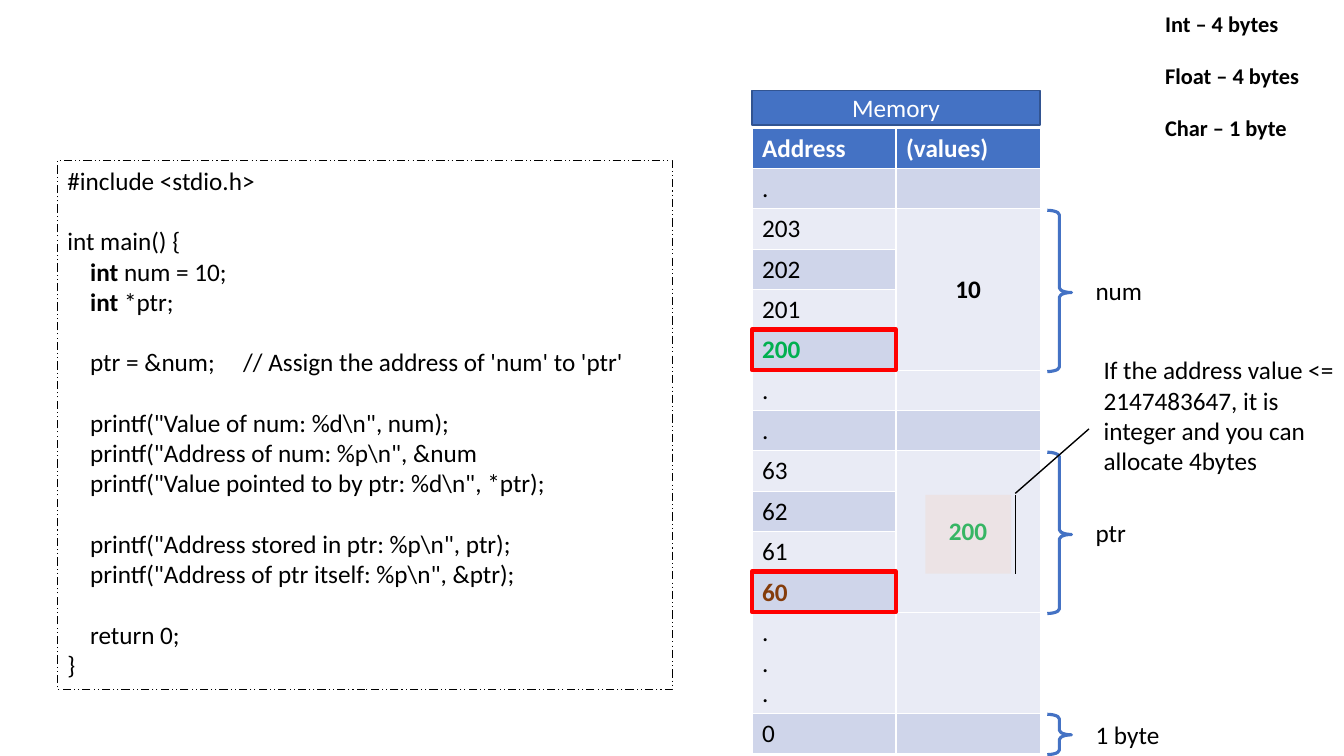
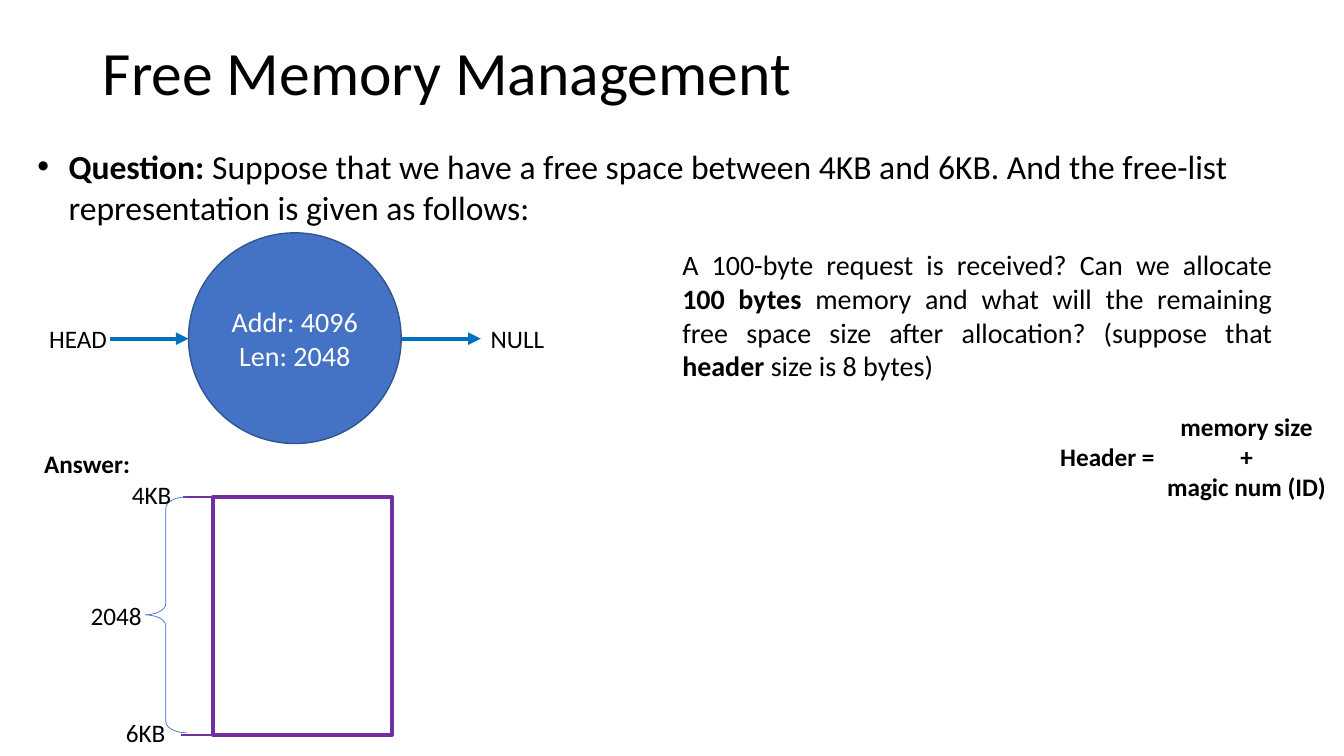
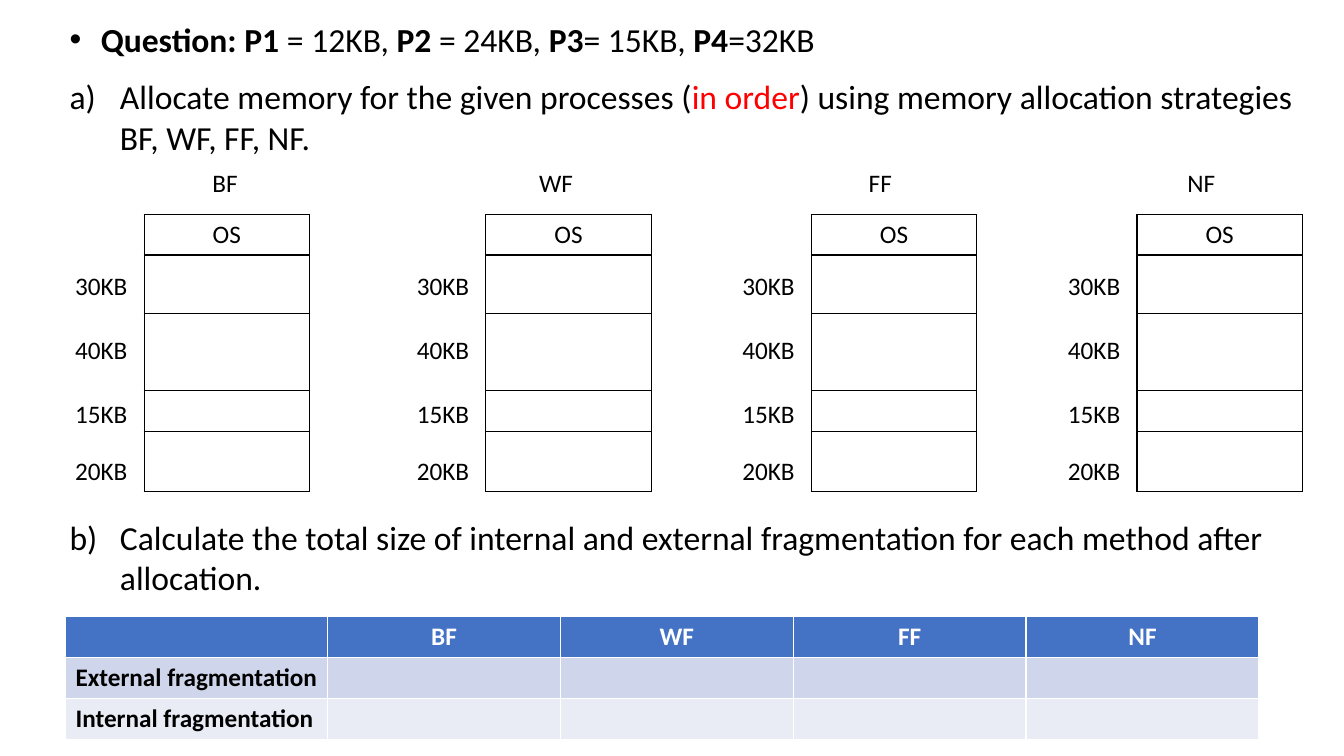
from lxml.etree import SubElement
from pptx import Presentation
from pptx.dml.color import RGBColor
from pptx.enum.dml import MSO_LINE
from pptx.enum.shapes import MSO_CONNECTOR, MSO_SHAPE
from pptx.enum.text import MSO_ANCHOR, MSO_AUTO_SIZE, PP_ALIGN
from pptx.oxml.ns import qn
from pptx.util import Inches, Pt

# The slide is a grid of 80 columns and 45 rows of square cells.
CELL = Inches(7.5) // 45
BLACK, WHITE, RED = "000000", "FFFFFF", "FF0000"
BLUE, DARK_BLUE, ARROW_BLUE = "4472C4", "325491", "0070C0"
PURPLE, GREEN, BROWN, PEACH = "7030A0", "00B050", "843C0B", "F8CBAD"
BANDS = ("E9EBF5", "CFD5EA")
FONT = "Calibri"

deck = Presentation()
deck.slide_width, deck.slide_height = 80 * CELL, 45 * CELL
color = RGBColor.from_string


def write(frame, text, size=18, ink=BLACK, bold=False, align=PP_ALIGN.LEFT):
    """Fill a frame line by line; ** toggles bold, an empty line becomes space before."""
    frame.word_wrap = True
    gap = 0
    paragraph = None
    for line in text.split("\n"):
        if not line:
            gap += 1.2 * size
            continue
        paragraph = frame.add_paragraph() if paragraph else frame.paragraphs[0]
        paragraph.alignment = align
        paragraph.space_before, gap = Pt(gap), 0
        for index, part in enumerate(line.split("**")):
            if part:
                run = paragraph.add_run()
                run.text = part
                run.font.name, run.font.size = FONT, Pt(size)
                run.font.bold = bold or index % 2 == 1
                run.font.color.rgb = color(ink)


def place(slide, kind, x, y, w, h, fill=None, line=None, width=1):
    """Add a preset shape, or a text box if kind is None, at grid cells."""
    area = [int(length * CELL) for length in (x, y, w, h)]
    if kind is None:
        shape = slide.shapes.add_textbox(*area)
    else:
        shape = slide.shapes.add_shape(kind, *area)
    shape.shadow.inherit = False
    if fill:
        shape.fill.solid()
        shape.fill.fore_color.rgb = color(fill)
    else:
        shape.fill.background()
    if line:
        shape.line.color.rgb = color(line)
        shape.line.width = Pt(width)
    else:
        shape.line.fill.background()
    return shape


# Slide 1: a pointer in memory
CODE = r"""#include <stdio.h>

int main() {
    **int** num = 10;
    **int** *ptr;

    ptr = &num;     // Assign the address of 'num' to 'ptr'

    printf("Value of num: %d\n", num);
    printf("Address of num: %p\n", &num
    printf("Value pointed to by ptr: %d\n", *ptr);

    printf("Address stored in ptr: %p\n", ptr);
    printf("Address of ptr itself: %p\n", &ptr);

    return 0;
}"""
pointers = deck.slides.add_slide(deck.slide_layouts[6])
listing = place(pointers, None, 3.42, 9.54, 36.6, 31.5, line=BLACK, width=0.75)
listing.line.dash_style = MSO_LINE.DASH_DOT_DOT
write(listing.text_frame, CODE)

type_sizes = place(pointers, None, 68.76, 0.3, 9.9, 8.7).text_frame
write(type_sizes, "Int – 4 bytes\nFloat – 4 bytes\nChar – 1 byte", 16, bold=True)
for paragraph in type_sizes.paragraphs[1:]:
    paragraph.space_before = Pt(18)

MEMORY_LEFT, MEMORY_TOP, MEMORY_WIDTH, ROW = 44.76, 7.62, 17.16, 2.4
addresses = ["Address", ".", "203", "202", "201", "200", ".", ".",
             "63", "62", "61", "60", ".\n.\n.", "0"]
address_inks = {"Address": WHITE, "200": GREEN, "60": BROWN}
memory = pointers.shapes.add_table(
    len(addresses), 2, int(MEMORY_LEFT * CELL), int(MEMORY_TOP * CELL),
    int(MEMORY_WIDTH * CELL), int(ROW * len(addresses) * CELL)).table
for row, address in enumerate(addresses):
    memory.rows[row].height = int(ROW * CELL * (1 + 1.5 * address.count("\n") / 2))
    for column in range(2):
        cell = memory.cell(row, column)
        cell.fill.solid()
        cell.fill.fore_color.rgb = color(BANDS[row % 2] if row else BLUE)
    write(memory.cell(row, 0).text_frame, address,
          ink=address_inks.get(address, BLACK), bold=address in address_inks)
write(memory.cell(0, 1).text_frame, "(values)", ink=WHITE, bold=True)

for first, value, ink in ((2, "10", BLACK), (8, "200", GREEN)):
    stored = memory.cell(first, 1)
    stored.merge(memory.cell(first + 3, 1))
    stored.vertical_anchor = MSO_ANCHOR.MIDDLE
    write(stored.text_frame, value, ink=ink, bold=True, align=PP_ALIGN.CENTER)
    place(pointers, MSO_SHAPE.RECTANGLE, MEMORY_LEFT, MEMORY_TOP + ROW * (first + 3),
          MEMORY_WIDTH / 2, ROW, line=RED, width=3)

for first, count, name in ((2, 4, "num"), (8, 4, "ptr"), (14.5, 1, "1 byte")):
    top, height = MEMORY_TOP + 0.1 + ROW * first, ROW * count
    brace = place(pointers, MSO_SHAPE.RIGHT_BRACE, 62.34, top, 1.44, height,
                  line=BLUE, width=2.25)
    brace.adjustments[0], brace.adjustments[1] = 0.19, 0.51
    label = place(pointers, None, 64.62, top + (height - ROW) / 2, 9.9, ROW)
    write(label.text_frame, name)

heading = place(pointers, MSO_SHAPE.RECTANGLE, MEMORY_LEFT, 5.4, MEMORY_WIDTH, 2.04,
                BLUE, DARK_BLUE)
write(heading.text_frame, "Memory", ink=WHITE, align=PP_ALIGN.CENTER)

callout = place(pointers, MSO_SHAPE.LINE_CALLOUT_1_ACCENT_BAR, 55.08, 29.46, 5.1, 4.68,
                PEACH, BLACK)
callout.rotation = 180
for index, value in enumerate((1.02, -0.05, 1.84, -0.91)):
    callout.adjustments[index] = value
callout_fill = callout.element.spPr.find(qn("a:solidFill")).find(qn("a:srgbClr"))
SubElement(callout_fill, qn("a:alpha")).set("val", "22000")
note = place(pointers, None, 65.1, 20.82, 14.9, 7.86)
write(note.text_frame, "If the address value <= 2147483647, it is integer "
                       "and you can allocate 4bytes")

# Slide 2: free list
free_list = deck.slides.add_slide(deck.slide_layouts[1])
title, question = free_list.placeholders
title.left, title.top, title.width, title.height = [
    int(length * CELL) for length in (5.52, 0.12, 69, 8.7)]
write(title.text_frame, "Free Memory Management", 44)
title.text_frame.paragraphs[0].line_spacing = 0.9
title.text_frame.vertical_anchor = MSO_ANCHOR.MIDDLE
write(question.text_frame,
      "**Question: **Suppose that we have a free space between 4KB and 6KB. "
      "And the free-list representation is given as follows:", 24)

node = place(free_list, MSO_SHAPE.OVAL, 11.22, 13.86, 12.66, 12.54, BLUE, DARK_BLUE)
write(node.text_frame, "Addr: 4096\nLen: 2048", 20, WHITE, align=PP_ALIGN.CENTER)

SPACE_TOP, SPACE_HEIGHT = 29.58, 14.16
place(free_list, MSO_SHAPE.RECTANGLE, 12.66, SPACE_TOP, 10.68, SPACE_HEIGHT,
      line=PURPLE, width=3)
for start, end, y, ink, width, arrow in (
        (6.54, 11.22, 20.16, ARROW_BLUE, 3, True),
        (23.94, 28.62, 20.16, ARROW_BLUE, 3, True),
        (10.92, 14.04, SPACE_TOP, PURPLE, 1.5, False),
        (10.8, 13.92, SPACE_TOP + SPACE_HEIGHT, PURPLE, 1.5, False)):
    link = free_list.shapes.add_connector(
        MSO_CONNECTOR.STRAIGHT, *[int(length * CELL) for length in (start, y, end, y)])
    link.line.color.rgb = color(ink)
    link.line.width = Pt(width)
    if arrow:
        SubElement(link.element.spPr.find(qn("a:ln")), qn("a:tailEnd")).set(
            "type", "triangle")
    SubElement(link.element.spPr, qn("a:effectLst"))

extent = place(free_list, MSO_SHAPE.LEFT_BRACE, 8.64, SPACE_TOP, 2.46, 14.04,
               line=BLUE, width=0.5)
extent.adjustments[0] = 0.27
for text, x, y, w, h, size, align in (
        ("HEAD", 2.34, 18.96, 5.22, 2.4, 18, PP_ALIGN.LEFT),
        ("NULL", 28.62, 18.96, 4.56, 2.4, 18, PP_ALIGN.LEFT),
        ("A 100-byte request is received? Can we allocate **100 bytes **memory and what "
         "will the remaining free space size after allocation? (suppose that "
         "**header **size is 8 bytes)", 40.02, 14.46, 36.3, 9, 20, PP_ALIGN.JUSTIFY),
        ("**Answer:**", 2.04, 26.4, 8, 2.4, 18, PP_ALIGN.LEFT),
        ("4KB", 7.26, 28.26, 4, 2.4, 18, PP_ALIGN.LEFT),
        ("2048", 4.8, 35.46, 4.86, 2.4, 18, PP_ALIGN.LEFT),
        ("6KB", 6.9, 42.42, 4, 2.4, 18, PP_ALIGN.LEFT),
        ("**Header =**", 62.52, 25.98, 7.2, 2.4, 18, PP_ALIGN.LEFT),
        ("**memory size**\n**+**\n**magic num (ID)**", 68.4, 24.18, 11.6, 6, 18,
         PP_ALIGN.CENTER)):
    write(place(free_list, None, x, y, w, h).text_frame, text, size, align=align)

# Slide 3: allocation strategies
strategies = deck.slides.add_slide(deck.slide_layouts[1])
unused_title, tasks = strategies.placeholders
unused_title.element.getparent().remove(unused_title.element)
write(tasks.text_frame,
      "**Question: P1** = 12KB, **P2** = 24KB, **P3**= 15KB, **P4**=32KB\n"
      "Allocate memory for the given processes (**in order**) using memory allocation "
      "strategies BF, WF, FF, NF.\n"
      "Calculate the total size of internal and external fragmentation for each method "
      "after allocation.", 24)
emphasis = tasks.text_frame.paragraphs[1].runs[1].font
emphasis.bold, emphasis.color.rgb = False, color(RED)

for body, area in ((question, (1.62, 8.4, 76.5, 5.46)),
                   (tasks, (3.54, 0.84, 76.46, 38.76))):
    body.left, body.top, body.width, body.height = [int(length * CELL) for length in area]
    body.text_frame.auto_size = MSO_AUTO_SIZE.NONE
    for paragraph, space, indent in zip(body.text_frame.paragraphs,
                                        (0, 12, 257), (0.31, 0.5, 0.5)):
        paragraph.space_before = Pt(space)
        properties = paragraph._p.get_or_add_pPr()
        properties.set("marL", str(Inches(indent)))
        properties.set("indent", str(-Inches(indent)))
        if space:
            SubElement(properties, qn("a:buAutoNum")).set("type", "alphaLcParenR")
        else:
            SubElement(properties, qn("a:buFont")).set("typeface", "Arial")
            SubElement(properties, qn("a:buChar")).set("char", "•")

METHODS = ("BF", "WF", "FF", "NF")
partition_heights = (2.4, 3.48, 4.56, 2.46, 3.6)
partition_sizes = (("30KB", 15.78), ("40KB", 19.62), ("15KB", 23.4), ("20KB", 26.82))
for method, left, center in zip(METHODS, (8.58, 28.92, 48.3, 67.68),
                                (13.4, 33.1, 52.4, 71.5)):
    write(place(strategies, None, center - 2, 9.66, 4, 2.4).text_frame, method,
          align=PP_ALIGN.CENTER)
    partitions = strategies.shapes.add_table(
        len(partition_heights), 1, int(left * CELL), int(12.78 * CELL),
        int(9.84 * CELL), int(sum(partition_heights) * CELL)).table
    partitions.first_row = partitions.horz_banding = False
    for row, height in enumerate(partition_heights):
        partitions.rows[row].height = int(height * CELL)
        cell = partitions.cell(row, 0)
        borders = cell._tc.get_or_add_tcPr()
        for side in ("a:lnL", "a:lnR", "a:lnT", "a:lnB"):
            border = SubElement(borders, qn(side), w=str(Pt(1)))
            SubElement(SubElement(border, qn("a:solidFill")), qn("a:srgbClr"), val=BLACK)
        cell.fill.background()
    write(partitions.cell(0, 0).text_frame, "OS", align=PP_ALIGN.CENTER)
    for size, top in partition_sizes:
        write(place(strategies, None, left - 4.7, top, 5.1, 2.4).text_frame, size)

results = (("",) + METHODS, ("External fragmentation",), ("Internal fragmentation",))
fragmentation = strategies.shapes.add_table(
    3, 5, int(3.9 * CELL), int(36.72 * CELL), int(71.04 * CELL), int(7.32 * CELL)).table
for column, width in enumerate((15.6,) + (13.86,) * 4):
    fragmentation.columns[column].width = int(width * CELL)
for row, texts in enumerate(results):
    for column in range(5):
        cell = fragmentation.cell(row, column)
        cell.fill.solid()
        cell.fill.fore_color.rgb = color(BANDS[row % 2] if row else BLUE)
    for column, text in enumerate(texts):
        write(fragmentation.cell(row, column).text_frame, text, bold=True,
              ink=BLACK if row else WHITE,
              align=PP_ALIGN.LEFT if row else PP_ALIGN.CENTER)

deck.save("out.pptx")
